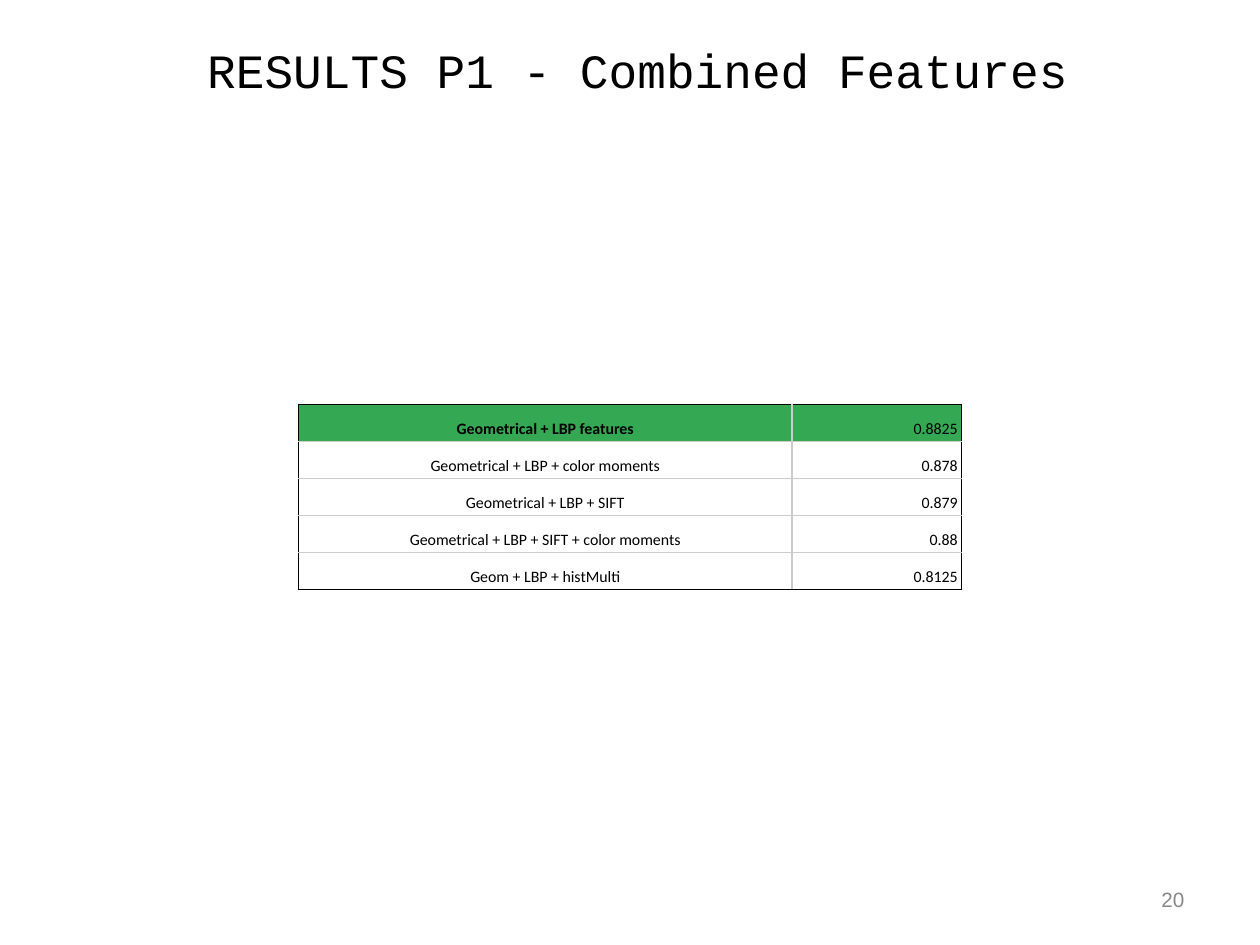
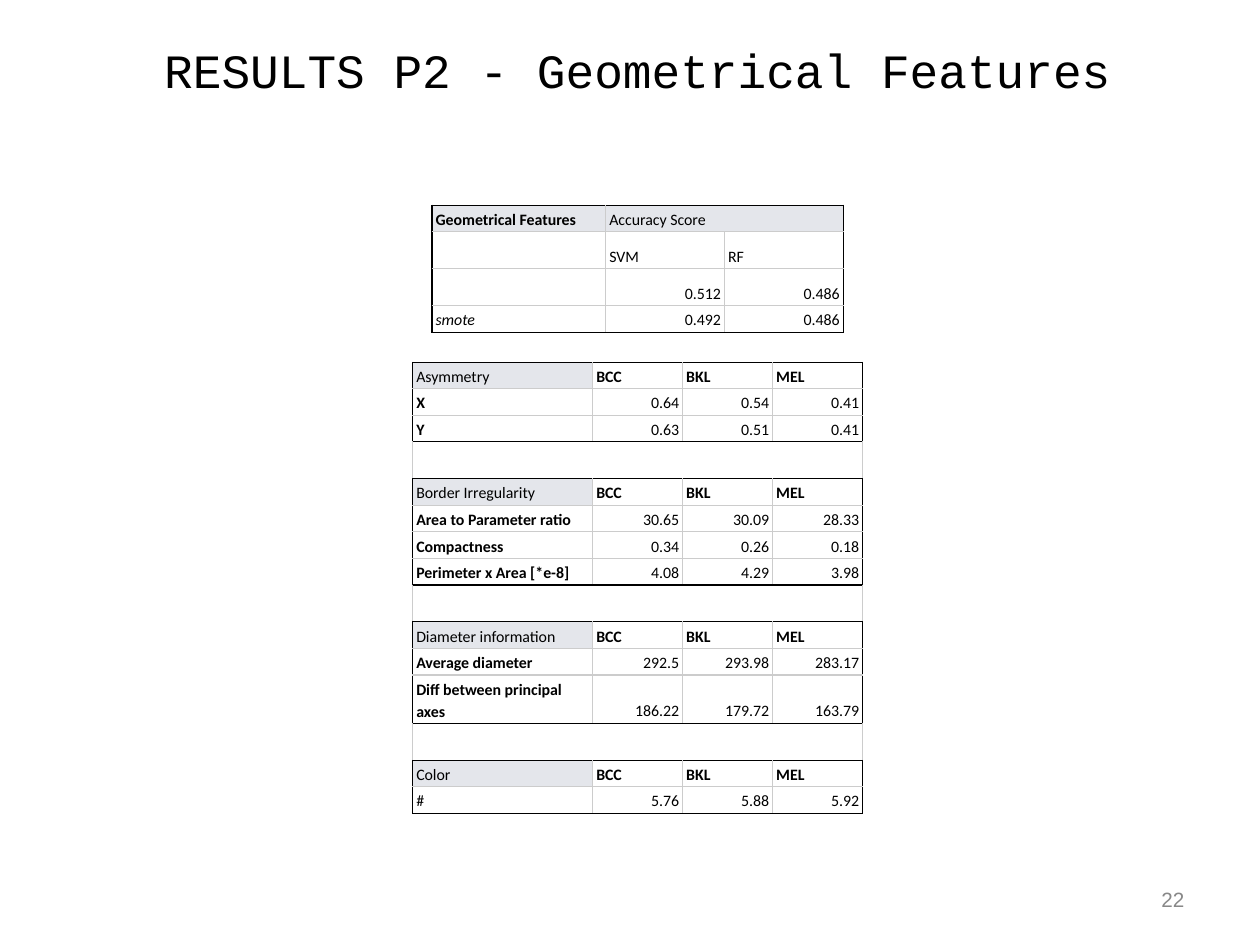
from lxml import etree
from pptx import Presentation
from pptx import util as u
from pptx.dml.color import RGBColor
from pptx.enum import text
from pptx.oxml.ns import qn

COLORS = {
    "ink": "000000",
    "grid": "CCCCCC",
    "number": "888888",
    "best": "34A853",
    "header": "E4E6EB",
}
LEFT, CENTER, RIGHT = text.PP_ALIGN.LEFT, text.PP_ALIGN.CENTER, text.PP_ALIGN.RIGHT
CLASSES = ["BCC", "BKL", "MEL"]
SPACER = ["", None, None, None]
LOW, TALL, WRAPPED = 0.59, 0.82, 1.07

BOLD = {
    "Geometrical + LBP features", "Geometrical Features", *CLASSES, "X", "Y",
    "Area to Parameter ratio", "Compactness", "Perimeter x Area [*e-8]",
    "Average diameter", "Diff between principal axes",
}
ITALIC = {"smote"}
SHADED = {
    "Geometrical + LBP features": "best", "0.8825": "best",
    "Geometrical Features": "header", "Accuracy Score": "header",
    "Asymmetry": "header", "Border Irregularity": "header",
    "Diameter information": "header", "Color": "header",
}

combined = {
    "at": (6.63, 8.99), "columns": [10.97, 3.76], "label_align": CENTER,
    "heights": [TALL] * 5,
    "rows": [
        ["Geometrical + LBP features", "0.8825"],
        ["Geometrical + LBP + color moments", "0.878"],
        ["Geometrical + LBP + SIFT", "0.879"],
        ["Geometrical + LBP + SIFT + color moments", "0.88"],
        ["Geom + LBP + histMulti", "0.8125"],
    ],
}
accuracy = {
    "at": (9.6, 4.56), "columns": [3.86, 2.64, 2.64], "label_align": LEFT,
    "heights": [LOW, TALL, TALL, LOW],
    "rows": [
        ["Geometrical Features", "Accuracy Score", None],
        ["", "SVM", "RF"],
        ["", "0.512", "0.486"],
        ["smote", "0.492", "0.486"],
    ],
}
measures = {
    "at": (9.17, 8.05), "columns": [4, 2, 2, 2], "label_align": LEFT,
    "heights": [LOW] * 3 + [TALL] + [LOW] * 4 + [TALL] + [LOW] * 2
    + [WRAPPED, TALL] + [LOW] * 2,
    "rows": [
        ["Asymmetry", *CLASSES],
        ["X", "0.64", "0.54", "0.41"],
        ["Y", "0.63", "0.51", "0.41"],
        SPACER,
        ["Border Irregularity", *CLASSES],
        ["Area to Parameter ratio", "30.65", "30.09", "28.33"],
        ["Compactness", "0.34", "0.26", "0.18"],
        ["Perimeter x Area [*e-8]", "4.08", "4.29", "3.98"],
        SPACER,
        ["Diameter information", *CLASSES],
        ["Average diameter", "292.5", "293.98", "283.17"],
        ["Diff between principal axes", "186.22", "179.72", "163.79"],
        SPACER,
        ["Color", *CLASSES],
        ["#", "5.76", "5.88", "5.92"],
    ],
}
pages = [
    ("RESULTS P1 - Combined Features", "20", [combined]),
    ("RESULTS P2 - Geometrical Features", "22", [accuracy, measures]),
]


def write(frame, words, font, size, color, align, spacing):
    frame.text = words
    line = frame.paragraphs[0]
    line.alignment = align
    line.line_spacing = spacing
    for run in line.runs:
        run.font.name = font
        run.font.size = u.Pt(size)
        run.font.color.rgb = RGBColor.from_string(COLORS[color])
        run.font.bold = words in BOLD
        run.font.italic = words in ITALIC
    if not words:
        etree.SubElement(line._p, qn("a:endParaRPr"), sz=str(size * 100))


def draw_borders(cell, sides):
    for side, color in sides.items():
        edge = etree.SubElement(cell._tc.get_or_add_tcPr(), qn("a:ln" + side), w=str(u.Pt(0.75)))
        fill = etree.SubElement(edge, qn("a:solidFill"))
        etree.SubElement(fill, qn("a:srgbClr"), val=COLORS[color])


deck = Presentation()
deck.slide_width, deck.slide_height = u.Cm(28), u.Cm(21)

for title, number, tables in pages:
    slide = deck.slides.add_slide(deck.slide_layouts[6])
    for words, box, font, size, color, align, spacing in [
        (title, (1.57, 0.51, 25.2, 2.08), "Courier New", 30.1, "ink", CENTER, 1.0),
        (number, (20.07, 19.46, 6.53, 1.12), "Arial", 13, "number", RIGHT, 0.93),
    ]:
        frame = slide.shapes.add_textbox(*map(u.Cm, box)).text_frame
        frame.word_wrap = True
        frame.vertical_anchor = text.MSO_ANCHOR.MIDDLE
        frame.margin_left = frame.margin_right = u.Cm(0.28)
        frame.margin_top = frame.margin_bottom = u.Cm(0.15)
        write(frame, words, font, size, color, align, spacing)

    for content in tables:
        rows, columns, heights = content["rows"], content["columns"], content["heights"]
        box = (*content["at"], sum(columns), sum(heights))
        grid = slide.shapes.add_table(len(rows), len(columns), *map(u.Cm, box)).table
        grid.first_row = grid.horz_banding = False
        for column, width in zip(grid.columns, columns):
            column.width = u.Cm(width)
        for row, height in zip(grid.rows, heights):
            row.height = u.Cm(height)

        for r, row in enumerate(rows):
            spacer = row == SPACER
            starts_block = spacer or r == 0 or rows[r - 1] == SPACER
            ends_block = spacer or r == len(rows) - 1 or rows[r + 1] == SPACER
            for c, words in enumerate(row):
                cell = grid.cell(r, c)
                last = all(value is None for value in row[c + 1:])
                draw_borders(cell, {
                    "L": "ink" if c == 0 and not spacer else "grid",
                    "R": "ink" if last and not spacer else "grid",
                    "T": "ink" if starts_block else "grid",
                    "B": "ink" if ends_block else "grid",
                })
                cell.vertical_anchor = text.MSO_ANCHOR.BOTTOM
                cell.margin_left = cell.margin_right = u.Cm(0.08)
                cell.margin_top = cell.margin_bottom = u.Cm(0.05)
                if words in SHADED:
                    cell.fill.solid()
                    cell.fill.fore_color.rgb = RGBColor.from_string(COLORS[SHADED[words]])
                else:
                    cell.fill.background()
                numeric = (words or "").replace(".", "").isdigit()
                align = RIGHT if numeric else content["label_align"]
                write(cell.text_frame, words or "", "Calibri", 10, "ink", align, 1.15)
            if None in row:
                grid.cell(r, row.index(None) - 1).merge(grid.cell(r, len(row) - 1))

deck.save("out.pptx")
